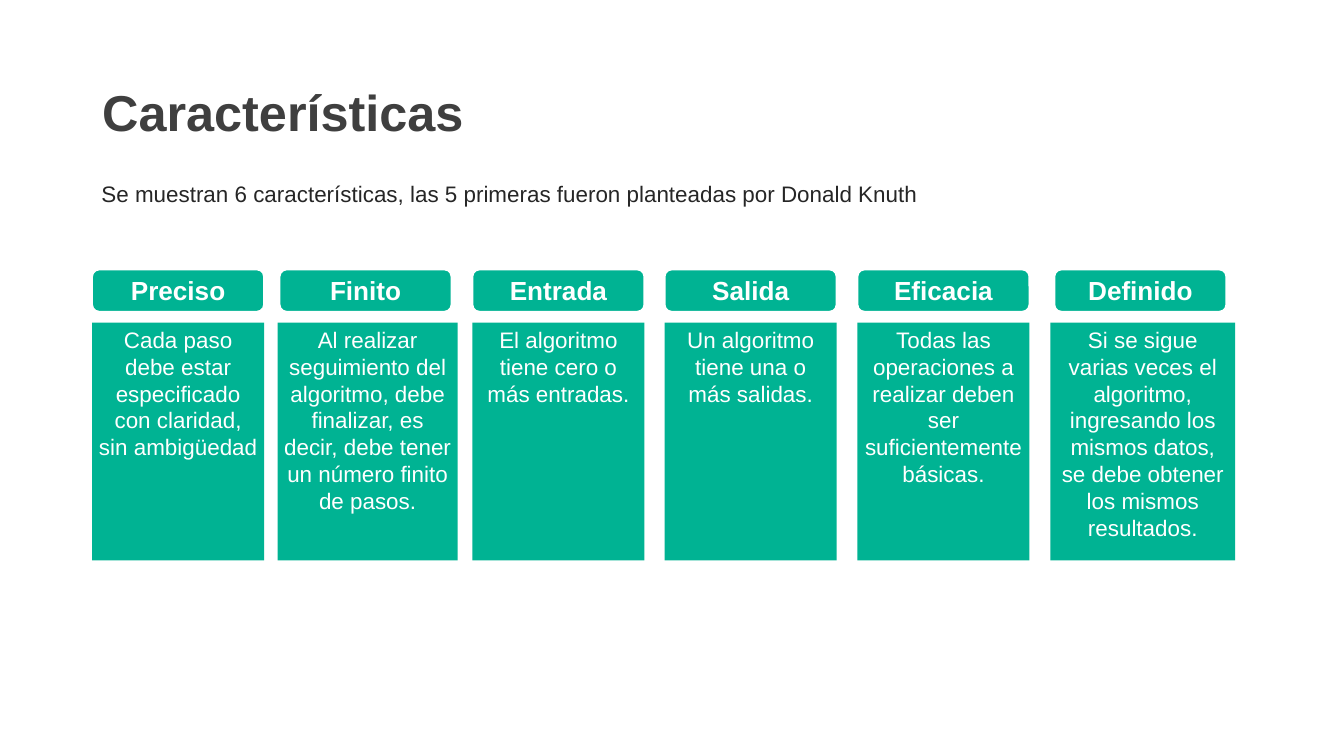
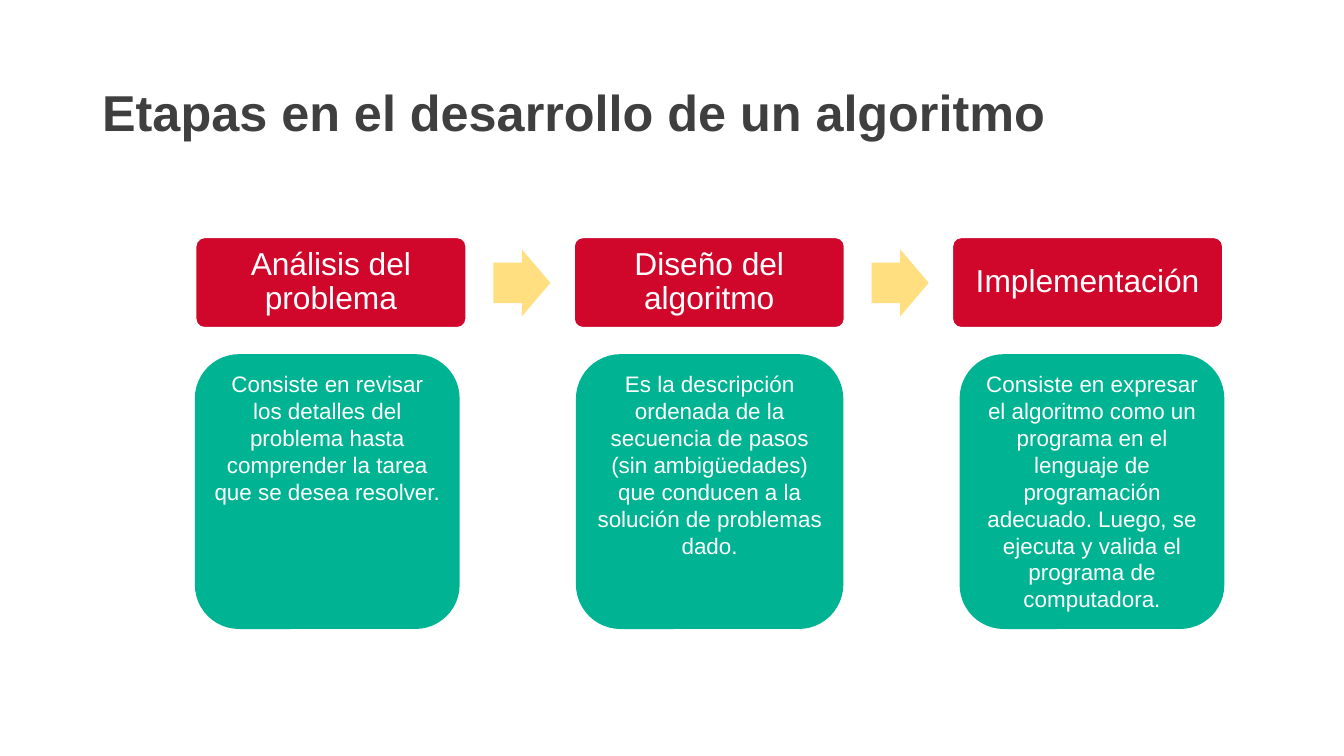
import pptx
import pptx.util
import pptx.dml.color
import pptx.enum.shapes
import pptx.enum.text
import pptx.oxml.ns
import lxml.etree

Inches = pptx.util.Inches
Pt = pptx.util.Pt
RGBColor = pptx.dml.color.RGBColor
Shape = pptx.enum.shapes.MSO_SHAPE
Align = pptx.enum.text.PP_ALIGN
Anchor = pptx.enum.text.MSO_ANCHOR

GREEN = RGBColor(0x00, 0xB3, 0x93)
RED = RGBColor(0xD0, 0x07, 0x2B)
AMBER = RGBColor(0xFF, 0xC0, 0x00)
WHITE = RGBColor(0xFF, 0xFF, 0xFF)
TITLE_GRAY = RGBColor(0x3F, 0x3F, 0x3F)
BODY_GRAY = RGBColor(0x26, 0x26, 0x26)
FONT = "Arial"

TITLE_AND_BODY = 1
TITLE_ONLY = 5

CHARACTERISTICS = [
    ("Preciso", 1.37, 1.37, 2.56,
     "Cada paso debe estar especificado con claridad, sin ambigüedad"),
    ("Finito", 4.16, 4.13, 2.68,
     "Al realizar seguimiento del algoritmo, debe finalizar, es decir, "
     "debe tener un número finito de pasos."),
    ("Entrada", 7.03, 7.03, 2.56, "El algoritmo tiene cero o más entradas."),
    ("Salida", 9.89, 9.89, 2.56, "Un algoritmo tiene una o más salidas."),
    ("Eficacia", 12.76, 12.76, 2.56,
     "Todas las operaciones a realizar deben ser suficientemente básicas."),
    ("Definido", 15.69, 15.63, 2.75,
     "Si se sigue varias veces el algoritmo, ingresando los mismos datos, "
     "se debe obtener los mismos resultados."),
]

STAGES = [
    ("Análisis del problema", 2.9, 3.94,
     "Consiste en revisar los detalles del problema hasta comprender la tarea "
     "que se desea resolver."),
    ("Diseño del algoritmo", 8.57, 3.98,
     "Es la descripción ordenada de la secuencia de pasos (sin ambigüedades) "
     "que conducen a la solución de problemas dado."),
    ("Implementación", 14.28, 3.94,
     "Consiste en expresar el algoritmo como un programa en el lenguaje de "
     "programación adecuado. Luego, se ejecuta y valida el programa de computadora."),
]
STAGE_LEFT = 2.91
STAGE_STEP = 5.63
ARROW_OFFSET = 4.43


def place(shape, left, top, width, height):
    shape.left, shape.top = Inches(left), Inches(top)
    shape.width, shape.height = Inches(width), Inches(height)


def write_text(shape, text, size, color, bold=False, align=Align.CENTER,
               anchor=Anchor.TOP, insets=(0.1, 0.05), line_spacing=None):
    frame = shape.text_frame
    frame.word_wrap = True
    frame.auto_size = pptx.enum.text.MSO_AUTO_SIZE.NONE
    frame.vertical_anchor = anchor
    frame.margin_left = frame.margin_right = Inches(insets[0])
    frame.margin_top = frame.margin_bottom = Inches(insets[1])
    frame.text = text
    paragraph = frame.paragraphs[0]
    paragraph.alignment = align
    paragraph.line_spacing = line_spacing
    paragraph.font.name = FONT
    paragraph.font.size = Pt(size)
    paragraph.font.bold = bold
    paragraph.font.color.rgb = color
    return paragraph


def add_box(slide, kind, at, fill, adjustments=(), outlined=False):
    shape = slide.shapes.add_shape(kind, *(Inches(length) for length in at))
    shape.shadow.inherit = False
    shape.fill.solid()
    shape.fill.fore_color.rgb = fill
    if outlined:
        shape.line.color.rgb = WHITE
        shape.line.width = Pt(2)
    else:
        shape.line.fill.background()
    for index, value in enumerate(adjustments):
        shape.adjustments[index] = value
    return shape


def add_titled_slide(presentation, layout, title):
    slide = presentation.slides.add_slide(presentation.slide_layouts[layout])
    place(slide.shapes.title, 1.37, 0.63, 17.25, 2.17)
    write_text(slide.shapes.title, title, 54, TITLE_GRAY, bold=True, align=Align.LEFT,
               anchor=Anchor.MIDDLE, insets=(0.15, 0.07), line_spacing=0.9)
    return slide


def add_intro(slide, text):
    body = slide.placeholders[1]
    place(body, 1.36, 2.65, 17.25, 1.01)
    paragraph = write_text(body, text, 24, BODY_GRAY, align=Align.LEFT,
                           insets=(0.15, 0.07), line_spacing=0.9)
    paragraph.space_before = Pt(15)
    properties = paragraph._p.get_or_add_pPr()
    properties.set("marL", "0")
    properties.set("indent", "0")
    lxml.etree.SubElement(properties, pptx.oxml.ns.qn("a:buNone"))
    properties.insert_element_before(properties[-1], "a:tabLst", "a:defRPr", "a:extLst")


def add_heading(slide, text, left):
    heading = add_box(slide, Shape.ROUNDED_RECTANGLE, (left, 4.01, 2.56, 0.63),
                      GREEN, [0.167], outlined=True)
    write_text(heading, text, 28, WHITE, bold=True)


def add_card(slide, kind, at, text, adjustments=()):
    card = add_box(slide, kind, at, GREEN, adjustments)
    write_text(card, text, 24, WHITE)


def add_stage(slide, text, left):
    stage = add_box(slide, Shape.ROUNDED_RECTANGLE, (left, 3.53, 4.03, 1.35),
                    RED, [0.1], outlined=True)
    write_text(stage, text, 34, WHITE, anchor=Anchor.MIDDLE,
               insets=(0.18, 0.18), line_spacing=0.9)


def add_arrow(slide, left):
    arrow = add_box(slide, Shape.RIGHT_ARROW, (left, 3.71, 0.85, 1), AMBER, [0.6, 0.5])
    color = arrow.fill._xPr.find(".//" + pptx.oxml.ns.qn("a:srgbClr"))
    lxml.etree.SubElement(color, pptx.oxml.ns.qn("a:alpha"), val="50000")


def build_characteristics(presentation):
    slide = add_titled_slide(presentation, TITLE_AND_BODY, "Características")
    add_intro(slide, "Se muestran 6 características, las 5 primeras fueron planteadas "
                     "por Donald Knuth")
    for heading, heading_left, card_left, card_width, text in CHARACTERISTICS:
        add_heading(slide, heading, heading_left)
        add_card(slide, Shape.RECTANGLE, (card_left, 4.8, card_width, 3.54), text)


def build_stages(presentation):
    slide = add_titled_slide(presentation, TITLE_ONLY,
                             "Etapas en el desarrollo de un algoritmo")
    for index, (stage, card_left, card_width, text) in enumerate(STAGES):
        left = STAGE_LEFT + index * STAGE_STEP
        add_stage(slide, stage, left)
        if index < len(STAGES) - 1:
            add_arrow(slide, left + ARROW_OFFSET)
        add_card(slide, Shape.ROUNDED_RECTANGLE, (card_left, 5.27, card_width, 4.09),
                 text, [0.167])


def main():
    presentation = pptx.Presentation()
    presentation.slide_width = Inches(20)
    presentation.slide_height = Inches(11.25)
    build_characteristics(presentation)
    build_stages(presentation)
    presentation.save("out.pptx")


if __name__ == "__main__":
    main()
